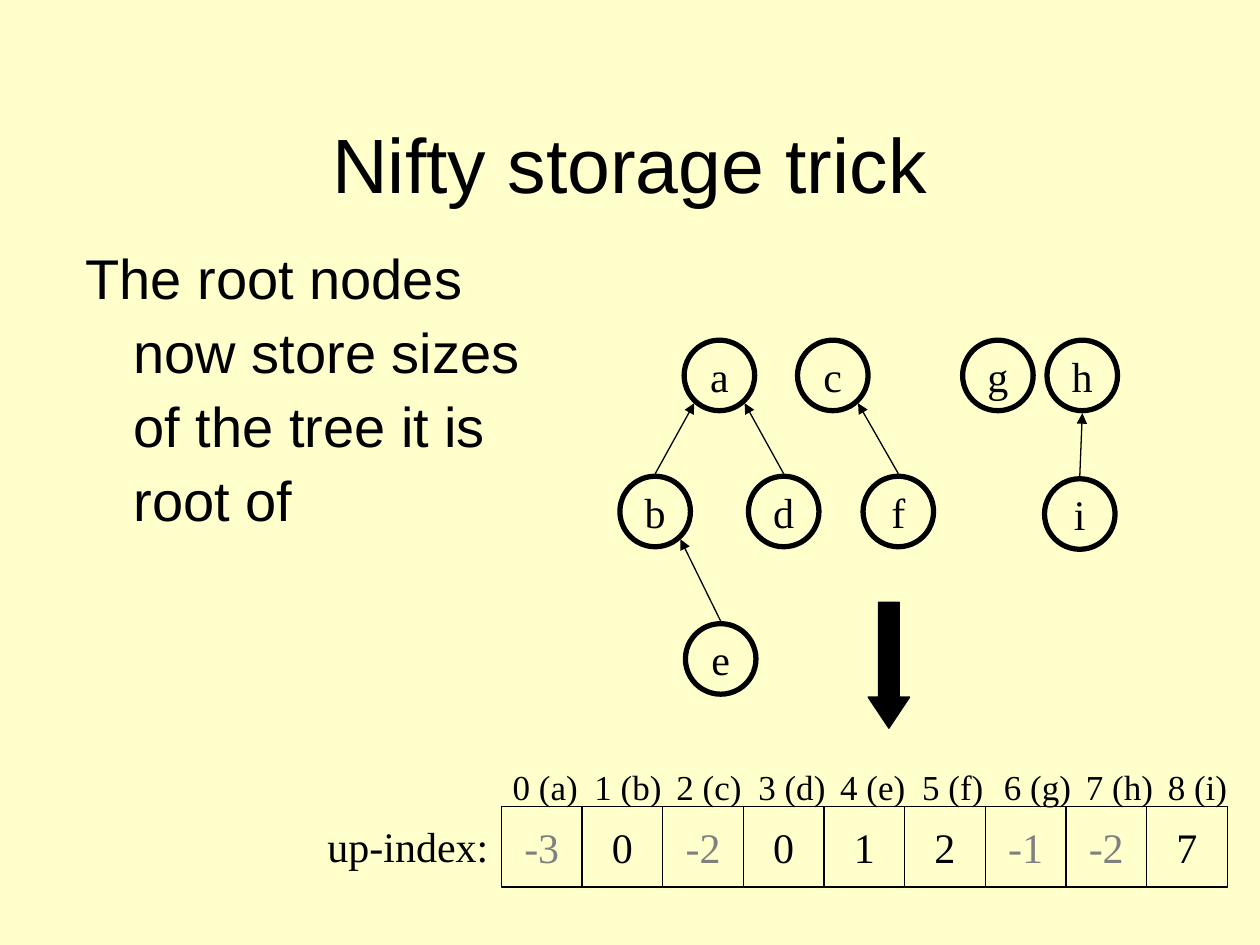
from dataclasses import dataclass
from typing import Any

import pptx
import pptx.dml.color
import pptx.enum.shapes
import pptx.enum.text
import pptx.oxml.ns
import pptx.util
from lxml import etree

Inches = pptx.util.Inches
Pt = pptx.util.Pt
RGBColor = pptx.dml.color.RGBColor
Shape = pptx.enum.shapes.MSO_SHAPE
Anchor = pptx.enum.text.MSO_ANCHOR
Align = pptx.enum.text.PP_ALIGN
AutoSize = pptx.enum.text.MSO_AUTO_SIZE
qn = pptx.oxml.ns.qn

CREAM = RGBColor(0xFF, 0xFF, 0xCC)
BLACK = RGBColor(0x00, 0x00, 0x00)
GRAY = RGBColor(0x80, 0x80, 0x80)

SERIF = {"name": "Times New Roman", "size": Pt(24)}
INDEX_FONT = {"name": "Times New Roman", "size": Pt(20)}
TITLE_FONT = {"name": "Arial", "size": Pt(44)}
BODY_FONT = {"name": "Arial", "size": Pt(32)}

NODE_SIZE = 0.56
CELL_SIZE = 0.64
CELLS_LEFT = 3.98
CELLS_TOP = 6.4
INDEX_PITCH = 0.65


@dataclass
class Node:
    name: str
    left: float
    top: float

    @property
    def center(self) -> float:
        return self.left + NODE_SIZE / 2


@dataclass
class Edge:
    child: str
    parent: str
    shift: float


NODES = [
    Node("a", 5.43, 2.7),
    Node("c", 6.33, 2.7),
    Node("g", 7.64, 2.7),
    Node("h", 8.31, 2.7),
    Node("b", 4.92, 3.78),
    Node("d", 5.94, 3.78),
    Node("f", 6.85, 3.78),
    Node("i", 8.29, 3.8),
    Node("e", 5.44, 4.95),
]
EDGES = [
    Edge("b", "a", -0.2),
    Edge("d", "a", 0.2),
    Edge("f", "c", 0.2),
    Edge("i", "h", 0),
    Edge("e", "b", 0.2),
]
UP_INDEX = [-3, 0, -2, 0, 1, 2, -1, -2, 7]


def apply(target: Any, values: dict) -> None:
    for name, value in values.items():
        setattr(target, name, value)


def place(shape: Any, left: float, top: float, width: float, height: float) -> None:
    apply(shape, {"left": Inches(left), "top": Inches(top),
                  "width": Inches(width), "height": Inches(height)})


def write(shape: Any, text: str, font: dict, color: RGBColor = BLACK,
          frame: dict | None = None, layout: dict | None = None) -> Any:
    apply(shape.text_frame, frame or {})
    para = shape.text_frame.paragraphs[0]
    apply(para, layout or {})
    span = para.add_run()
    span.text = text
    apply(span.font, font)
    span.font.color.rgb = color
    return para


def draw_outline(page: Any, kind: Any, left: float, top: float, size: float,
                 line: float, text: str, color: RGBColor = BLACK) -> None:
    shape = page.shapes.add_shape(kind, Inches(left), Inches(top),
                                  Inches(size), Inches(size))
    shape.shadow.inherit = False
    shape.fill.background()
    shape.line.color.rgb = BLACK
    shape.line.width = Pt(line)
    write(shape, text, SERIF, color,
          {"word_wrap": False, "vertical_anchor": Anchor.MIDDLE},
          {"alignment": Align.CENTER})


def draw_edge(page: Any, child: Node, parent: Node, shift: float) -> None:
    gap = -0.06 if shift else 0.02
    arrow = page.shapes.add_connector(
        pptx.enum.shapes.MSO_CONNECTOR.STRAIGHT,
        Inches(child.center), Inches(child.top - 0.02),
        Inches(parent.center + shift), Inches(parent.top + NODE_SIZE + gap))
    arrow.line.color.rgb = BLACK
    arrow.line.width = Pt(0.75)
    properties = arrow._element.spPr
    etree.SubElement(properties.find(qn("a:ln")), qn("a:tailEnd"), type="triangle")
    etree.SubElement(properties, qn("a:effectLst"))


def draw_text(page: Any, left: float, top: float, width: float, height: float,
              text: str, font: dict, wrap: bool) -> Any:
    box = page.shapes.add_textbox(Inches(left), Inches(top),
                                  Inches(width), Inches(height))
    return write(box, text, font, frame={"word_wrap": wrap,
                                         "auto_size": AutoSize.SHAPE_TO_FIT_TEXT})


def fill_placeholders(page: Any) -> None:
    title = page.shapes.title
    place(title, 0.75, 0.67, 8.5, 1.25)
    write(title, "Nifty storage trick", TITLE_FONT,
          frame={"vertical_anchor": Anchor.MIDDLE, "auto_size": AutoSize.NONE},
          layout={"alignment": Align.CENTER})
    body = page.placeholders[1]
    place(body, 0.58, 1.83, 3.83, 4.5)
    para = write(body, "The root nodes now store sizes of the tree it is root of",
                 BODY_FONT,
                 frame={"vertical_anchor": Anchor.TOP, "auto_size": AutoSize.NONE},
                 layout={"line_spacing": 1.1, "space_before": Pt(0)})
    settings = para._p.get_or_add_pPr()
    settings.set("marL", str(Inches(0.38)))
    settings.set("indent", str(-Inches(0.38)))
    etree.SubElement(settings, qn("a:buNone"))


def draw_forest(page: Any) -> None:
    nodes = {node.name: node for node in NODES}
    for node in NODES:
        draw_outline(page, Shape.OVAL, node.left, node.top, NODE_SIZE, 3, node.name)
    for edge in EDGES:
        draw_edge(page, nodes[edge.child], nodes[edge.parent], edge.shift)
    arrow = page.shapes.add_shape(Shape.DOWN_ARROW, Inches(6.89), Inches(4.78),
                                  Inches(0.33), Inches(1))
    arrow.shadow.inherit = False
    arrow.adjustments[0] = 0.5
    arrow.adjustments[1] = 0.75
    arrow.fill.solid()
    arrow.fill.fore_color.rgb = BLACK
    arrow.line.color.rgb = BLACK
    arrow.line.width = Pt(0.75)


def draw_up_index(page: Any) -> None:
    for position, value in enumerate(UP_INDEX):
        draw_outline(page, Shape.RECTANGLE, CELLS_LEFT + position * CELL_SIZE,
                     CELLS_TOP, CELL_SIZE, 0.75, str(value),
                     GRAY if value < 0 else BLACK)
    names = "abcdefghi"
    labels = "\t".join(f"{position} ({name})" for position, name in enumerate(names))
    para = draw_text(page, 3.97, 6.03, 6, 0.44, labels, INDEX_FONT, True)
    tabs = etree.SubElement(para._p.get_or_add_pPr(), qn("a:tabLst"))
    for position in range(1, len(names)):
        etree.SubElement(tabs, qn("a:tab"), algn="l",
                         pos=str(Inches(position * INDEX_PITCH)))
    draw_text(page, 2.5, 6.46, 1.48, 0.5, "up-index:", SERIF, False)


def main() -> None:
    deck = pptx.Presentation()
    apply(deck, {"slide_width": Inches(10), "slide_height": Inches(7.5)})
    page = deck.slides.add_slide(deck.slide_layouts[1])
    page.background.fill.solid()
    page.background.fill.fore_color.rgb = CREAM
    fill_placeholders(page)
    draw_forest(page)
    draw_up_index(page)
    deck.save("out.pptx")


if __name__ == "__main__":
    main()
